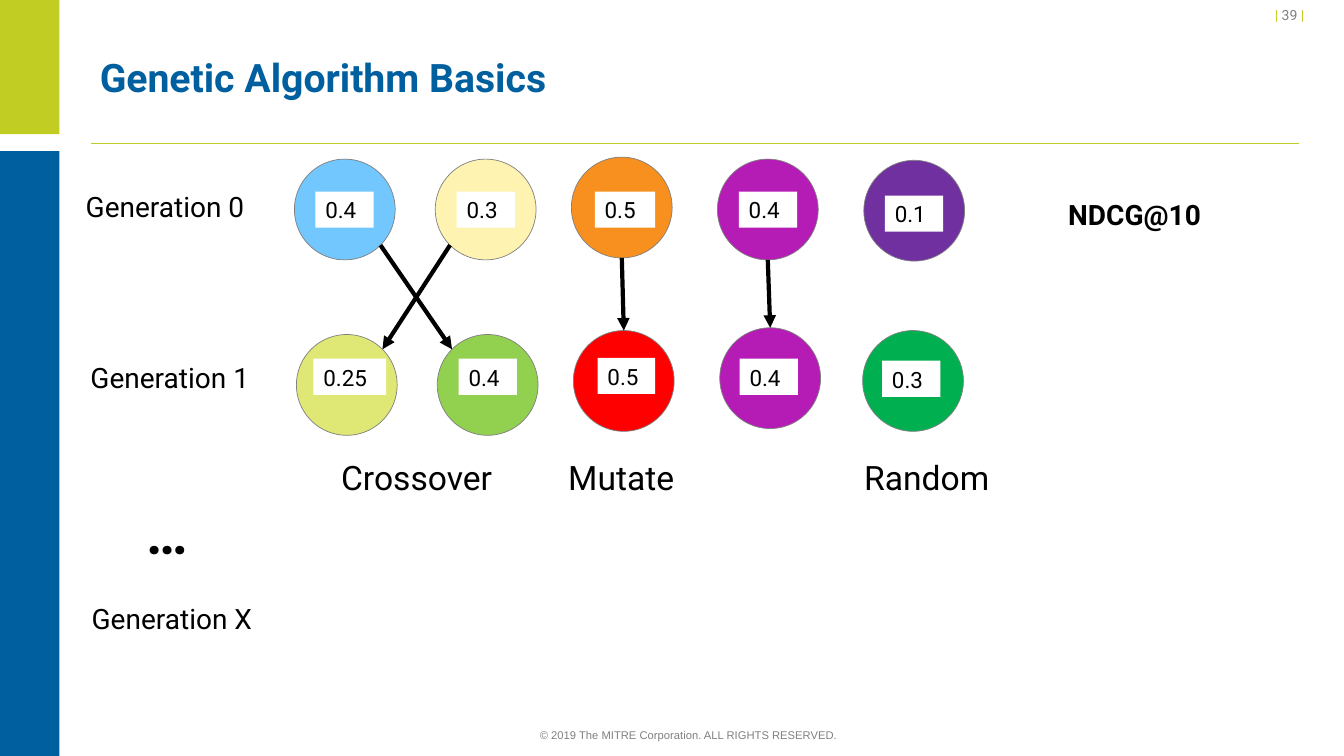
from lxml.etree import SubElement
from pptx import Presentation
from pptx.dml.color import RGBColor
from pptx.enum.shapes import MSO_CONNECTOR, MSO_SHAPE
from pptx.enum.text import MSO_ANCHOR, MSO_AUTO_SIZE, PP_ALIGN
from pptx.oxml.ns import qn
from pptx.util import Cm, Pt

COLORS = {
    "lime": "C1CD23", "blue": "005F9E", "gray": "808080", "black": "000000",
    "white": "FFFFFF", "sky": "72C7FF", "cream": "FFF3B1", "orange": "F7901E",
    "magenta": "B51BB5", "purple": "7030A0", "pale lime": "DFE775",
    "light green": "92D050", "red": "FF0000", "green": "00B050",
}
TITLE = "Genetic Algorithm Basics"
COPYRIGHT = "© 2019 The MITRE Corporation. ALL RIGHTS RESERVED."
PAGE_NUMBER = [("| ", "lime"), ("39 ", "gray"), ("|", "lime")]

# Sizes and places are in centimetres.
DIAMETER = 2.54
SCORE_HEIGHT = 0.91
SIDE_BARS = [("lime", 0, 3.38), ("blue", 3.81, 15.24)]  # colour, top, height

# Each individual: colour, circle left, top, score, score left, top, width
GENERATIONS = [
    [
        ("sky", 7.42, 4.01, "0.4", 7.95, 4.83, 1.47),
        ("cream", 10.97, 4.01, "0.3", 11.51, 4.83, 1.47),
        ("orange", 14.4, 3.96, "0.5", 14.99, 4.83, 1.52),
        ("magenta", 18.08, 4.01, "0.4", 18.62, 4.83, 1.47),
        ("purple", 21.77, 4.04, "0.1", 22.3, 4.93, 1.47),
    ],
    [
        ("pale lime", 7.47, 8.43, "0.25", 7.9, 9.04, 1.83),
        ("light green", 11.02, 8.43, "0.4", 11.56, 9.04, 1.47),
        ("red", 14.45, 8.33, "0.5", 15.06, 9.02, 1.45),
        ("magenta", 18.14, 8.26, "0.4", 18.64, 9.04, 1.47),
        ("green", 21.74, 8.33, "0.3", 22.23, 9.09, 1.47),
    ],
]
DESCENT = [(0, 1), (1, 0), (2, 2), (3, 3)]  # parent column, child column

# Text, left, top, width, height, size, bold, alignment
LABELS = [
    ("Generation 0", 1.91, 4.65, 5.21, 1.09, 20, False, PP_ALIGN.LEFT),
    ("Generation 1", 2.03, 8.97, 5.13, 1.09, 20, False, PP_ALIGN.LEFT),
    ("Generation X", 2.06, 15.04, 5.16, 1.09, 20, False, PP_ALIGN.LEFT),
    ("…", 2.74, 12.45, 2.97, 1.93, 40, True, PP_ALIGN.CENTER),
    ("Crossover", 8.05, 11.4, 4.9, 1.27, 24, False, PP_ALIGN.CENTER),
    ("Mutate", 13.46, 11.4, 4.39, 1.27, 24, False, PP_ALIGN.CENTER),
    ("Random", 21.16, 11.4, 4.39, 1.27, 24, False, PP_ALIGN.CENTER),
    ("NDCG@10", 26.67, 4.85, 5.08, 1.09, 20, True, PP_ALIGN.LEFT),
]


def rgb(name):
    return RGBColor.from_string(COLORS[name])


def style(span, size, color="black", bold=False, font="Roboto"):
    span.font.name = font
    span.font.size = Pt(size)
    span.font.bold = bold
    span.font.color.rgb = rgb(color)


def add_solid(page, preset, frame, color, outline=None):
    shape = page.shapes.add_shape(preset, *map(Cm, frame))
    shape.shadow.inherit = False
    shape.fill.solid()
    shape.fill.fore_color.rgb = rgb(color)
    if outline:
        shape.line.color.rgb = rgb(outline)
        shape.line.width = Pt(0.5)
    else:
        shape.line.fill.background()
    return shape


def write(box, spans, size, bold=False, align=PP_ALIGN.LEFT,
          anchor=MSO_ANCHOR.TOP, after=0, font="Roboto"):
    """Fill a box with one paragraph made of (text, colour) spans."""
    frame = box.text_frame
    frame.word_wrap = True
    frame.auto_size = MSO_AUTO_SIZE.NONE
    frame.vertical_anchor = anchor
    para = frame.paragraphs[0]
    para.alignment = align
    para.space_after = Pt(after)
    for text, color in spans:
        span = para.add_run()
        span.text = text
        style(span, size, color, bold, font)
    return para


def add_line(page, start, end, color, width, arrow=False):
    line = page.shapes.add_connector(
        MSO_CONNECTOR.STRAIGHT, *map(Cm, start + end))
    line.line.color.rgb = rgb(color)
    line.line.width = Pt(width)
    properties = line._element.spPr
    if arrow:
        SubElement(properties.find(qn("a:ln")), qn("a:tailEnd"), type="triangle")
    SubElement(properties, qn("a:effectLst"))


def rim_point(individual, across, down):
    """Point on a circle's rim in the given direction from its centre."""
    left, top = individual[1:3]
    radius = DIAMETER / 2
    reach = radius / (across ** 2 + down ** 2) ** 0.5
    return left + radius + across * reach, top + radius + down * reach


def add_individual(page, color, left, top, score, score_left, score_top, width):
    add_solid(page, MSO_SHAPE.OVAL, (left, top, DIAMETER, DIAMETER), color, "gray")
    box = add_solid(page, MSO_SHAPE.RECTANGLE,
                    (score_left, score_top, width, SCORE_HEIGHT), "white")
    write(box, [(score, "black")], 16, after=6)


def add_frame(page):
    """Side bars, rule, title, page number and copyright line."""
    add_line(page, (2.29, 3.61), (32.74, 3.61), "lime", 1)
    for color, top, height in SIDE_BARS:
        add_solid(page, MSO_SHAPE.RECTANGLE, (0, top, 1.5, height), color)

    title = page.shapes.title
    title.left, title.top, title.width, title.height = map(
        Cm, (2.26, 0.76, 30.48, 2.41))
    para = write(title, [(TITLE, "blue")], 28, True, anchor=MSO_ANCHOR.MIDDLE)
    para.line_spacing = Pt(32)

    footer = page.shapes.add_textbox(*map(Cm, (9.25, 18.21, 16.21, 0.61)))
    para = write(footer, [(COPYRIGHT, "gray")], 8, align=PP_ALIGN.CENTER,
                 anchor=MSO_ANCHOR.BOTTOM, font="Arial")
    para.line_spacing = Pt(13)

    number = page.shapes.add_textbox(*map(Cm, (31.29, 0.2, 1.83, 0.51)))
    write(number, PAGE_NUMBER, 10, align=PP_ALIGN.RIGHT, anchor=MSO_ANCHOR.BOTTOM)


def main():
    deck = Presentation()
    deck.slide_width, deck.slide_height = Cm(33.87), Cm(19.05)
    page = deck.slides.add_slide(deck.slide_layouts[5])
    add_frame(page)

    for generation in GENERATIONS:
        for individual in generation:
            add_individual(page, *individual)

    parents, children = GENERATIONS
    for parent, child in DESCENT:
        across = (child > parent) - (child < parent)
        add_line(page, rim_point(parents[parent], across, 1),
                 rim_point(children[child], -across, -1), "black", 3, arrow=True)

    for text, left, top, width, height, size, bold, align in LABELS:
        box = page.shapes.add_textbox(*map(Cm, (left, top, width, height)))
        write(box, [(text, "black")], size, bold, align, after=6)

    deck.save("out.pptx")


if __name__ == "__main__":
    main()
